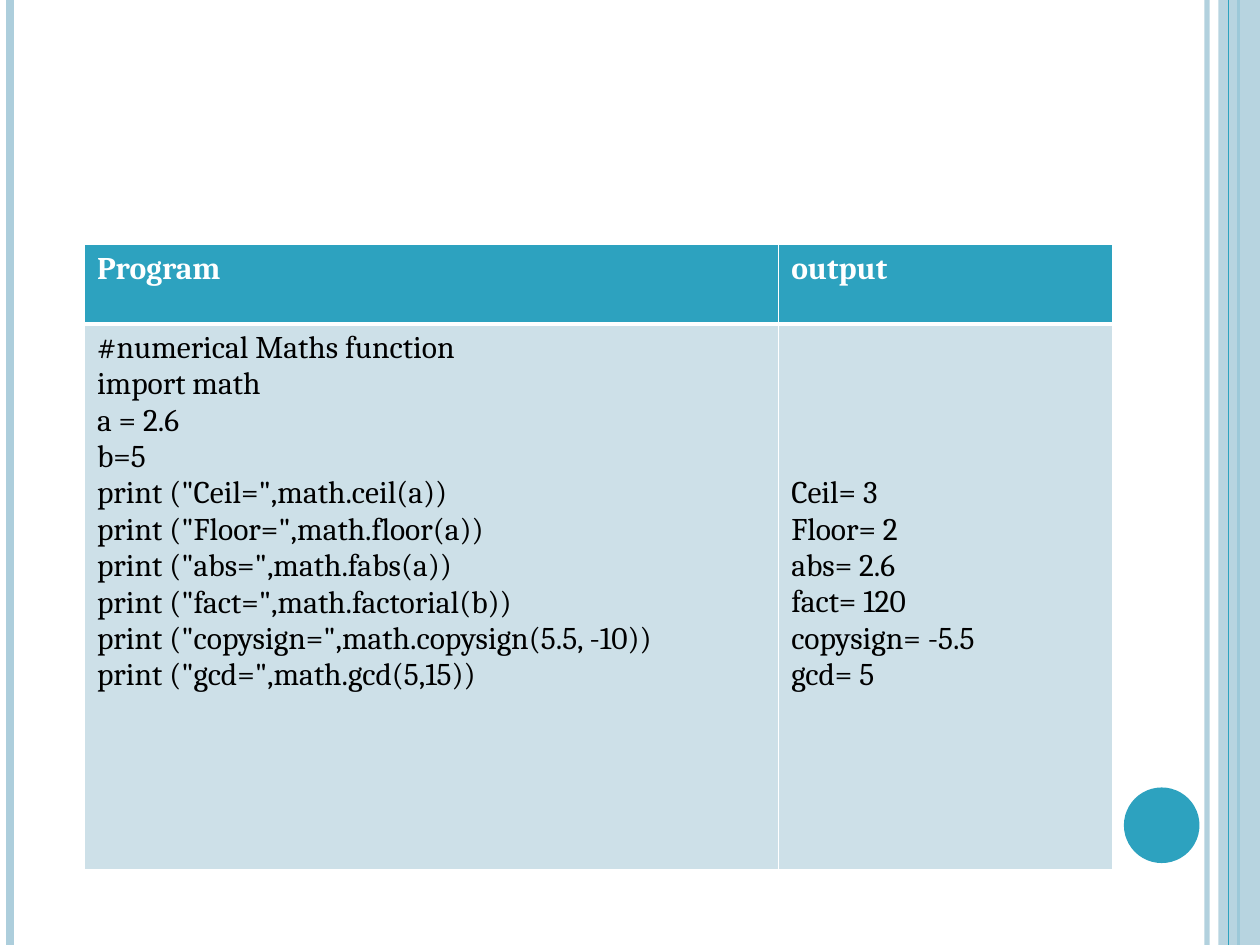
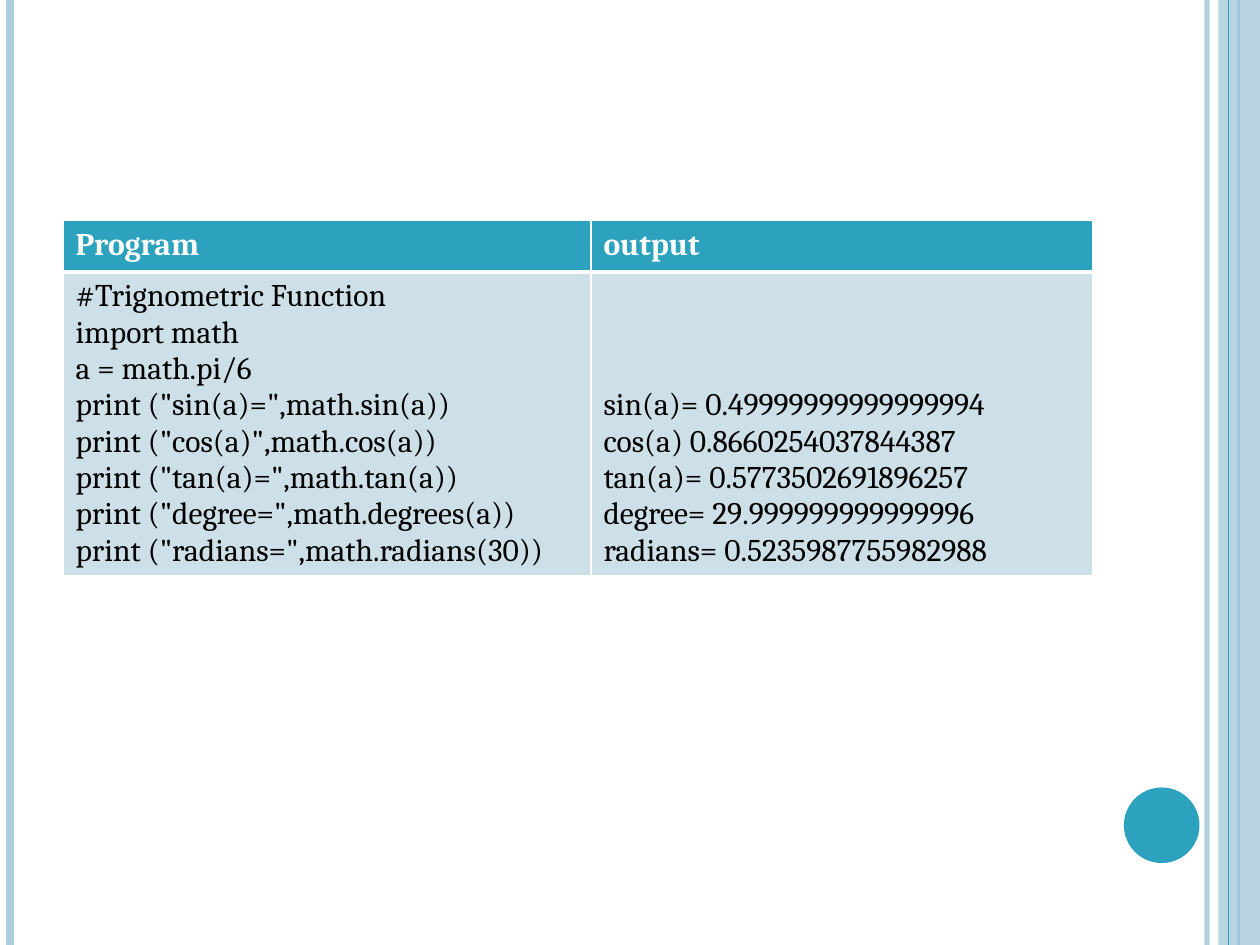
from lxml.etree import SubElement
from pptx import Presentation
from pptx.dml.color import RGBColor
from pptx.enum.shapes import MSO_CONNECTOR, MSO_SHAPE
from pptx.oxml import parse_xml
from pptx.oxml.ns import nsdecls, qn
from pptx.util import Inches, Pt

WHITE = RGBColor(0xFF, 0xFF, 0xFF)
BLACK = RGBColor(0x00, 0x00, 0x00)
TEAL = RGBColor(0x2D, 0xA2, 0xBF)
PALE_BLUE = RGBColor(0xAD, 0xCE, 0xDC)
CELL_BLUE = RGBColor(0xCD, 0xE0, 0xE8)
FONT = "Cambria"
SIZE = Pt(18)
LINE_HEIGHT = Pt(20.75)
CELL_PADDING = Inches(0.05)
HEADINGS = ("Program", "output")

NUMERIC_CODE = """#numerical Maths function
import math
a = 2.6
b=5
print ("Ceil=",math.ceil(a))
print ("Floor=",math.floor(a))
print ("abs=",math.fabs(a))
print ("fact=",math.factorial(b))
print ("copysign=",math.copysign(5.5, -10))
print ("gcd=",math.gcd(5,15))"""
NUMERIC_OUTPUT = """Ceil= 3
Floor= 2
abs= 2.6
fact= 120
copysign= -5.5
gcd= 5"""
TRIG_CODE = """#Trignometric Function
import math
a = math.pi/6
print ("sin(a)=",math.sin(a))
print ("cos(a)",math.cos(a))
print ("tan(a)=",math.tan(a))
print ("degree=",math.degrees(a))
print ("radians=",math.radians(30))"""
TRIG_OUTPUT = """sin(a)= 0.49999999999999994
cos(a) 0.8660254037844387
tan(a)= 0.5773502691896257
degree= 29.999999999999996
radians= 0.5235987755982988"""


def set_alpha(element, percent):
    """Make the solid colour inside element partly transparent."""
    color = next(element.iter(qn("a:srgbClr")))
    SubElement(color, qn("a:alpha")).set("val", str(percent * 1000))


class Deck:
    """Holds the presentation, its style and the current slide."""

    def __init__(self):
        self.prs = Presentation()
        self.prs.slide_width = Inches(10)
        self.prs.slide_height = Inches(7.5)

    def new_slide(self):
        """Add a blank slide with the vertical stripes and the disc."""
        self.s = self.prs.slides.add_slide(self.prs.slide_layouts[6])
        self.vertical_line(9.58, PALE_BLUE, 3, alpha=93)
        self.vertical_line(0.08, PALE_BLUE, 4.5)
        self.vertical_line(9.83, TEAL, 1.5)
        self.shape(MSO_SHAPE.RECTANGLE, 9.67, 0, 0.33, 7.5, PALE_BLUE, alpha=87)
        self.vertical_line(9.75, TEAL, 0.75)
        self.shape(MSO_SHAPE.OVAL, 8.92, 6.25, 0.6, 0.6, TEAL)

    def vertical_line(self, x, color, width, alpha=100):
        line = self.s.shapes.add_connector(
            MSO_CONNECTOR.STRAIGHT, Inches(x), 0, Inches(x), self.prs.slide_height)
        line.line.color.rgb = color
        line.line.width = Pt(width)
        sp_pr = line._element.spPr
        SubElement(sp_pr, qn("a:effectLst"))
        if alpha < 100:
            set_alpha(sp_pr, alpha)

    def shape(self, kind, left, top, width, height, color, alpha=100):
        sp = self.s.shapes.add_shape(
            kind, Inches(left), Inches(top), Inches(width), Inches(height))
        sp.shadow.inherit = False
        sp.fill.solid()
        sp.fill.fore_color.rgb = color
        sp.line.fill.background()
        if alpha < 100:
            set_alpha(sp._element.spPr, alpha)

    def program_table(self, left, top, cols, rows, code, output):
        """Show code beside its output, with the last lines of both level."""
        frame = self.s.shapes.add_table(
            2, 2, Inches(left), Inches(top), Inches(sum(cols)), Inches(sum(rows)))
        table = frame.table
        table.horz_banding = False
        for column, width in zip(table.columns, cols):
            column.width = Inches(width)
        for row, height in zip(table.rows, rows):
            row.height = Inches(height)
        for i, heading in enumerate(HEADINGS):
            self.cell(table.cell(0, i), [heading], TEAL, WHITE, bold=True, bottom=3)
        code_lines, output_lines = code.splitlines(), output.splitlines()
        self.cell(table.cell(1, 0), code_lines, CELL_BLUE, BLACK, top=3)
        self.cell(table.cell(1, 1), output_lines, CELL_BLUE, BLACK, top=3,
                  skipped=len(code_lines) - len(output_lines))

    def cell(self, cell, lines, fill, color, bold=False, top=1, bottom=1, skipped=0):
        """Fill a cell, starting its text below the given number of skipped lines."""
        cell.fill.solid()
        cell.fill.fore_color.rgb = fill
        cell.margin_top = CELL_PADDING + skipped * LINE_HEIGHT
        cell.margin_bottom = CELL_PADDING
        tf = cell.text_frame
        for i, line in enumerate(lines):
            p = tf.add_paragraph() if i else tf.paragraphs[0]
            r = p.add_run()
            r.text = line
            r.font.name = FONT
            r.font.size = SIZE
            r.font.bold = bold
            r.font.color.rgb = color
        tc_pr = cell._tc.get_or_add_tcPr()
        borders = {"lnL": 1, "lnR": 1, "lnT": top, "lnB": bottom}
        for i, (tag, width) in enumerate(borders.items()):
            tc_pr.insert(i, parse_xml(
                f'<a:{tag} {nsdecls("a")} w="{Pt(width)}"><a:solidFill>'
                f'<a:srgbClr val="{WHITE}"/></a:solidFill></a:{tag}>'))


def main():
    deck = Deck()
    deck.new_slide()
    deck.program_table(0.67, 1.94, (5.51, 2.65), (0.63, 4.33),
                       NUMERIC_CODE, NUMERIC_OUTPUT)
    deck.new_slide()
    deck.program_table(0.5, 1.75, (4.19, 3.98), (0.41, 2.4),
                       TRIG_CODE, TRIG_OUTPUT)
    deck.prs.save("out.pptx")


if __name__ == "__main__":
    main()
